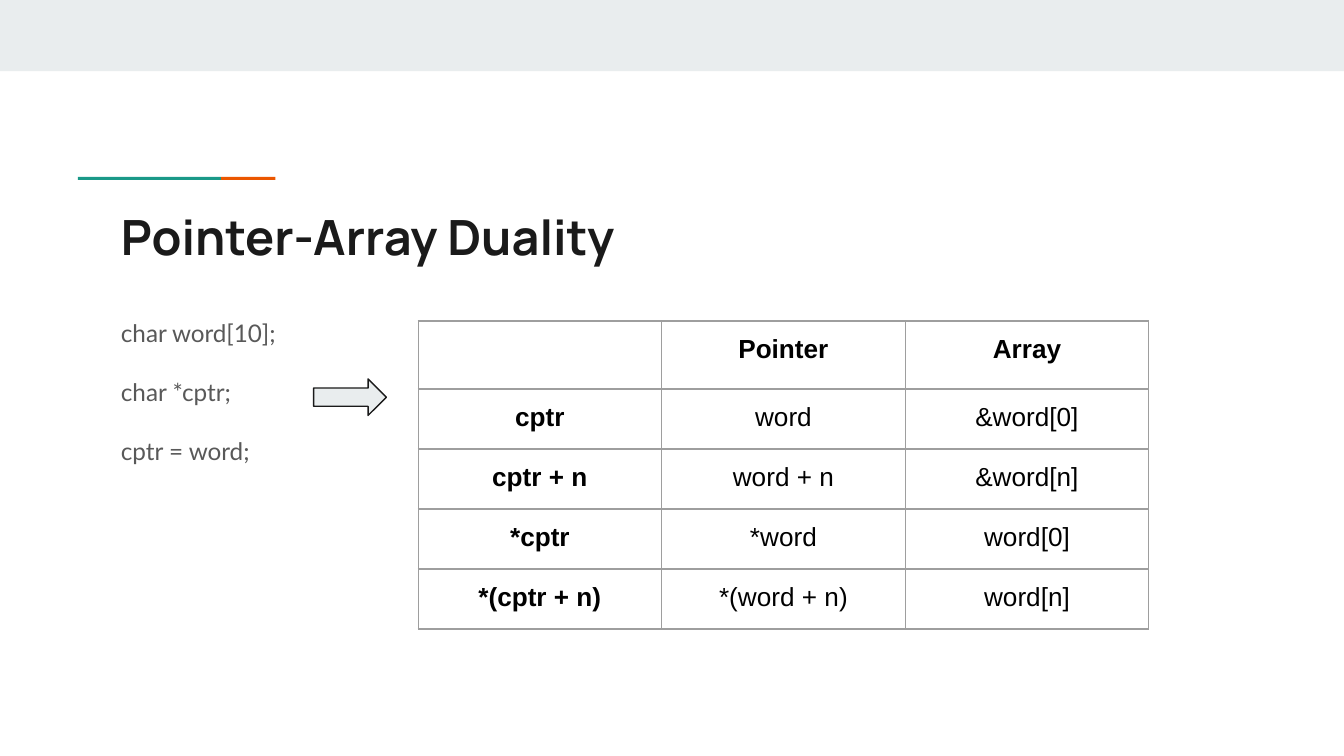
from dataclasses import dataclass

from lxml import etree
from pptx import Presentation
from pptx.dml.color import RGBColor
from pptx.enum.shapes import MSO_SHAPE
from pptx.enum.text import MSO_ANCHOR, MSO_AUTO_SIZE, PP_ALIGN
from pptx.oxml.ns import qn
from pptx.util import Pt

RECT = MSO_SHAPE.RECTANGLE
ARROW = MSO_SHAPE.RIGHT_ARROW
LEFT = PP_ALIGN.LEFT
CENTER = PP_ALIGN.CENTER
TOP = MSO_ANCHOR.TOP
FIXED = MSO_AUTO_SIZE.NONE


@dataclass(frozen=True)
class Style:
    font: str
    size: float
    color: str
    bold: bool = False


@dataclass(frozen=True)
class Theme:
    pale: str = "E9EDEE"
    teal: str = "1A9988"
    orange: str = "EB5600"
    ink: str = "1A1A1A"
    grid: str = "9E9E9E"
    hair: float = 0.75
    inset: float = 7.2
    title: Style = Style("Manrope", 26, "1A1A1A", True)
    body: Style = Style("Lato", 13, "595959")
    cell: Style = Style("Arial", 14, "000000")
    head: Style = Style("Arial", 14, "000000", True)


@dataclass(frozen=True)
class Box:
    left: float
    top: float
    width: float
    height: float

    def sides(self) -> tuple:
        return Pt(self.left), Pt(self.top), Pt(self.width), Pt(self.height)


@dataclass(frozen=True)
class Block:
    kind: int
    box: Box
    fill: str
    line: str = ""


THEME = Theme()
BLOCKS = [
    Block(RECT, Box(0, 0, 720, 38.2), THEME.pale),
    Block(RECT, Box(118.4, 94.8, 29.1, 1.6), THEME.orange),
    Block(RECT, Box(41.8, 94.8, 76.6, 1.6), THEME.teal),
    Block(ARROW, Box(168, 203, 39, 19.6), THEME.pale, THEME.ink),
]
TITLE_BOX = Box(57.6, 103.7, 605.5, 42.5)
BODY_BOX = Box(57.6, 163.4, 605.5, 177.8)
GRID_BOX = Box(224, 172, 391.5, 163.4)
HEAD_HIGH = 34.8
LINES = ["char word[10];", "char *cptr;", "cptr = word;"]
GAP = 16
ROWS = [
    ["", "Pointer", "Array"],
    ["cptr", "word", "&word[0]"],
    ["cptr + n", "word + n", "&word[n]"],
    ["*cptr", "*word", "word[0]"],
    ["*(cptr + n)", "*(word + n)", "word[n]"],
]


def add_run(para, text: str, style: Style, align) -> None:
    para.alignment = align
    run = para.add_run()
    run.text = text
    font = run.font
    font.name = style.font
    font.size = Pt(style.size)
    font.bold = style.bold
    font.color.rgb = RGBColor.from_string(style.color)


def draw_block(slide, block: Block) -> None:
    shape = slide.shapes.add_shape(block.kind, *block.box.sides())
    shape.shadow.inherit = False
    shape.fill.solid()
    shape.fill.fore_color.rgb = RGBColor.from_string(block.fill)
    if block.line:
        shape.line.color.rgb = RGBColor.from_string(block.line)
        shape.line.width = Pt(THEME.hair)
    else:
        shape.line.fill.background()


def fill_holder(holder, box: Box, lines: list[str], style: Style) -> None:
    holder.left, holder.top, holder.width, holder.height = box.sides()
    frame = holder.text_frame
    frame.word_wrap = True
    frame.auto_size = FIXED
    frame.vertical_anchor = TOP
    frame.margin_left = frame.margin_right = Pt(THEME.inset)
    frame.margin_top = frame.margin_bottom = Pt(THEME.inset)
    for i, text in enumerate(lines):
        para = frame.paragraphs[0] if i == 0 else frame.add_paragraph()
        props = para._p.get_or_add_pPr()
        props.set("marL", "0")
        props.set("indent", "0")
        etree.SubElement(props, qn("a:buNone"))
        para.space_before = Pt(GAP if i else 0)
        para.line_spacing = 1.0
        add_run(para, text, style, LEFT)


def add_edges(cell) -> None:
    props = cell._tc.get_or_add_tcPr()
    for side in ("lnL", "lnR", "lnT", "lnB"):
        edge = etree.SubElement(props, qn(f"a:{side}"), w=str(Pt(THEME.hair)))
        fill = etree.SubElement(edge, qn("a:solidFill"))
        etree.SubElement(fill, qn("a:srgbClr"), val=THEME.grid)


def draw_grid(slide, box: Box, rows: list[list[str]]) -> None:
    count = len(rows[0])
    table = slide.shapes.add_table(len(rows), count, *box.sides()).table
    table.first_row = False
    table.horz_banding = False
    for col in table.columns:
        col.width = Pt(box.width / count)
    high = (box.height - HEAD_HIGH) / (len(rows) - 1)
    for r, row in enumerate(rows):
        table.rows[r].height = Pt(high if r else HEAD_HIGH)
        for c, text in enumerate(row):
            cell = table.cell(r, c)
            add_edges(cell)
            cell.fill.background()
            cell.margin_left = cell.margin_right = Pt(THEME.inset)
            cell.margin_top = cell.margin_bottom = Pt(THEME.inset)
            if text:
                style = THEME.cell if r and c else THEME.head
                add_run(cell.text_frame.paragraphs[0], text, style, CENTER)


def main() -> None:
    deck = Presentation()
    deck.slide_width, deck.slide_height = Pt(720), Pt(405)
    slide = deck.slides.add_slide(deck.slide_layouts[1])
    fill_holder(slide.shapes.title, TITLE_BOX, ["Pointer-Array Duality"], THEME.title)
    fill_holder(slide.placeholders[1], BODY_BOX, LINES, THEME.body)
    for block in BLOCKS:
        draw_block(slide, block)
    draw_grid(slide, GRID_BOX, ROWS)
    deck.save("out.pptx")


if __name__ == "__main__":
    main()
